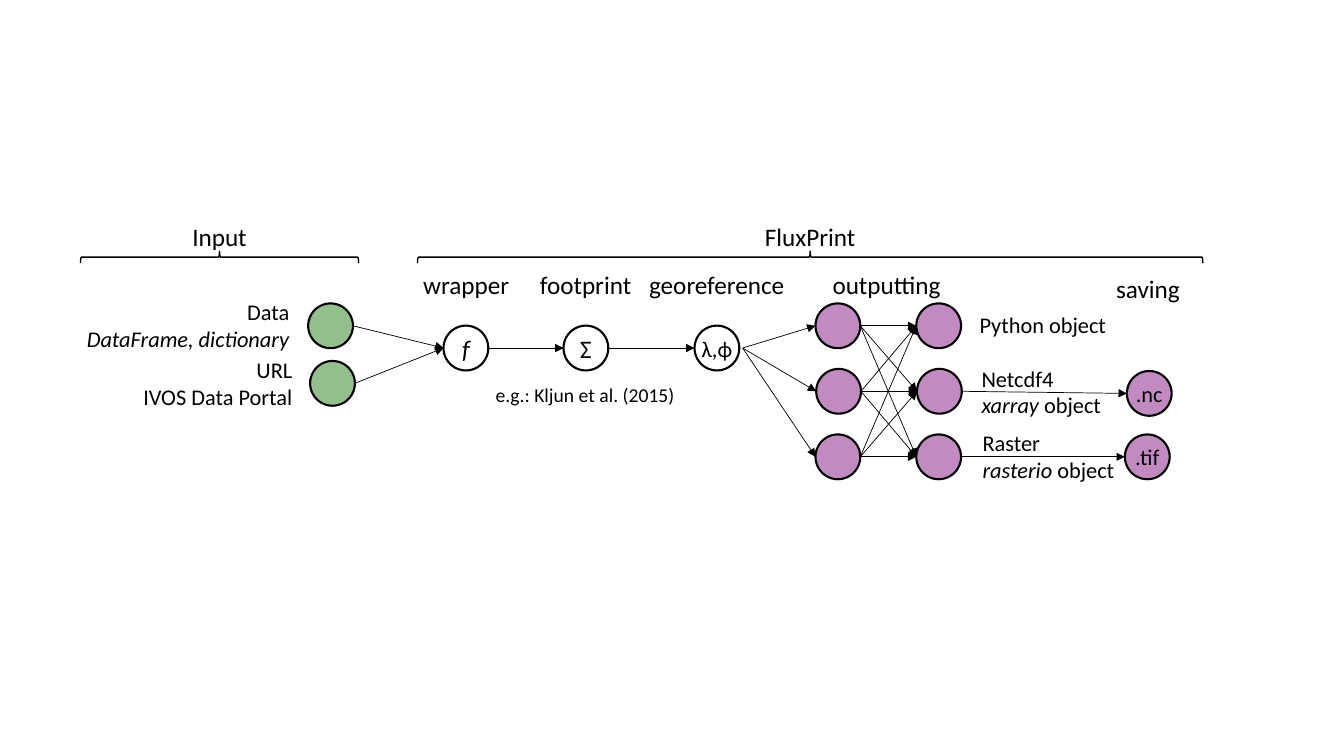
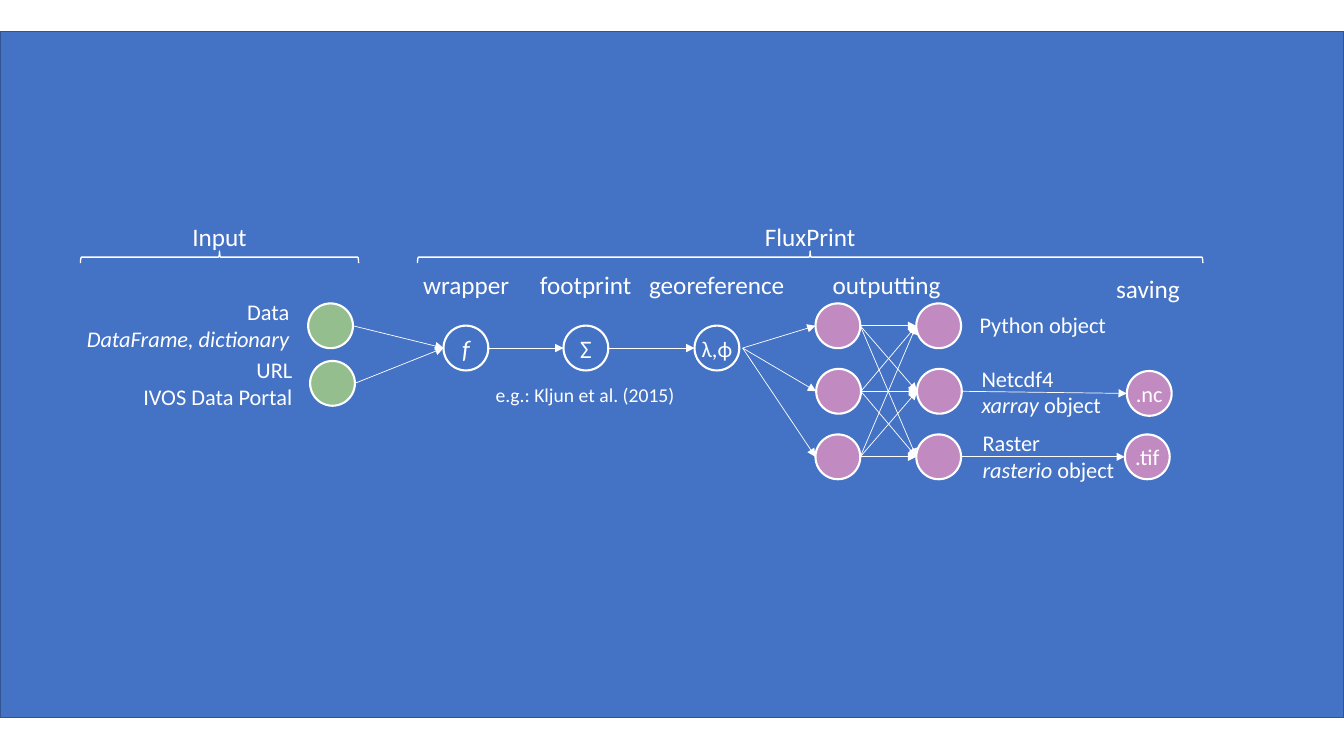
import itertools

import lxml.etree
import pptx
import pptx.util
import pptx.dml.color
import pptx.enum.shapes
import pptx.enum.text
import pptx.oxml.ns

Pt = pptx.util.Pt
SHAPE = pptx.enum.shapes.MSO_SHAPE
ALIGN = pptx.enum.text.PP_ALIGN
qn = pptx.oxml.ns.qn

COLORS = {
    "black": "000000",
    "white": "FFFFFF",
    "blue": "4472C4",
    "navy": "325491",
    "green": "94BE8E",
    "purple": "C18BC2",
}
FONT = "Calibri"
DOT = 32


def color(name):
    return pptx.dml.color.RGBColor.from_string(COLORS[name])


def write(frame, text, ink="black", size=16, align=ALIGN.LEFT):
    for row, line in enumerate(text.split("\n")):
        para = frame.paragraphs[0] if row == 0 else frame.add_paragraph()
        para.alignment = align
        for part, words in enumerate(line.split("*")):
            if words:
                run = para.add_run()
                run.text = words
                run.font.name = FONT
                run.font.size = Pt(size)
                run.font.italic = part % 2 == 1
                run.font.color.rgb = color(ink)


def label(slide, text, x, y, w, size=16, **style):
    high = size * 1.2 * (text.count("\n") + 1) + 7.2
    box = slide.shapes.add_textbox(Pt(x), Pt(y), Pt(w), Pt(high))
    frame = box.text_frame
    frame.word_wrap = False
    frame.auto_size = pptx.enum.text.MSO_AUTO_SIZE.SHAPE_TO_FIT_TEXT
    write(frame, text, size=size, **style)


def shape(slide, kind, x, y, w, h, line, width, fill=None):
    item = slide.shapes.add_shape(kind, Pt(x), Pt(y), Pt(w), Pt(h))
    item.shadow.inherit = False
    if fill:
        item.fill.solid()
        item.fill.fore_color.rgb = color(fill)
    else:
        item.fill.background()
    item.line.color.rgb = color(line)
    item.line.width = Pt(width)
    return item


def node(slide, x, y, ink, fill=None, text="", size=16):
    dot = shape(slide, SHAPE.OVAL, x, y, DOT, DOT, ink, 1.5, fill)
    if text:
        frame = dot.text_frame
        frame.margin_left = frame.margin_right = 0
        frame.margin_top = frame.margin_bottom = 0
        frame.word_wrap = False
        frame.vertical_anchor = pptx.enum.text.MSO_ANCHOR.MIDDLE
        write(frame, text, ink=ink, size=size, align=ALIGN.CENTER)
    return dot


def link(slide, start, end, ink, gap=0):
    wire = slide.shapes.add_connector(
        pptx.enum.shapes.MSO_CONNECTOR.STRAIGHT,
        start.left + start.width + Pt(gap),
        start.top + start.height // 2,
        end.left,
        end.top + end.height // 2,
    )
    wire.line.color.rgb = color(ink)
    wire.line.width = Pt(0.5)
    props = wire.element.spPr
    lxml.etree.SubElement(props.find(qn("a:ln")), qn("a:tailEnd"), type="triangle")
    lxml.etree.SubElement(props, qn("a:effectLst"))


def header(slide, box, ink, title):
    x, y, w, h = box
    label(slide, title, x, y, w, size=18, ink=ink, align=ALIGN.CENTER)
    deep = 8.6
    brace = shape(slide, SHAPE.RIGHT_BRACE, x + (w - deep) / 2,
                  y + h - (w + deep) / 2, deep, w, ink, 1)
    brace.rotation = 270


def source(slide, box, ink):
    x, y, w, h = box
    label(slide, "Data\n*DataFrame, dictionary*", x, y, 161.3,
          ink=ink, align=ALIGN.RIGHT)
    label(slide, "URL\nIVOS Data Portal", x + 41.7, y + 41.1, 121.7,
          ink=ink, align=ALIGN.RIGHT)
    return [node(slide, x + w - DOT - back, y + down, ink, "green")
            for back, down in ((1.4, 7.2), (0, 48.3))]


def process(slide, box, ink):
    x, y, w, h = box
    steps = (
        ("wrapper", "*f*", 18, 22.3, 0, 77),
        ("footprint", "Σ", 18, 108, 83.5, 80.6),
        ("georeference", "λ,ϕ", 16, 201.6, 161.3, 112.3),
    )
    dots = []
    for title, sign, size, dx, tx, tw in steps:
        label(slide, title, x + tx, y, tw, size=18, ink=ink, align=ALIGN.CENTER)
        dots.append(node(slide, x + dx, y + 44, ink, text=sign, size=size))
    for start, end in itertools.pairwise(dots):
        link(slide, start, end, ink)
    label(slide, "e.g.: Kljun et al. (2015)", x + 51.8, y + 81.4, 143.3,
          size=14, ink=ink, align=ALIGN.CENTER)
    return dots


def output(slide, box, ink):
    x, y, w, h = box
    label(slide, "outputting", x + 4.3, y, 92.9, size=18, ink=ink,
          align=ALIGN.CENTER)
    step = 46.8
    left, right = [
        [node(slide, x + dx + shift, y + 28.1 + row * step, ink, "purple")
         for row, shift in enumerate((0, 0.5, 0))]
        for dx in (0, 72)
    ]
    for start, end in itertools.product(left, right):
        link(slide, start, end, ink)
    notes = (
        ("Python object", 110.1, 30.3, 106.6),
        ("Netcdf4\n*xarray* object", 111.6, 68.4, 100.8),
        ("Raster\n*rasterio* object", 112.3, 114.5, 110.2),
    )
    for text, dx, dy, tw in notes:
        label(slide, text, x + dx, y + dy, tw, ink=ink)
    return left, right


def saving(slide, box, ink):
    x, y, w, h = box
    label(slide, "saving", x, y, w, size=18, ink=ink, align=ALIGN.CENTER)
    return [node(slide, x + dx, y + dy, ink, "purple", text)
            for text, dx, dy in ((".nc", 15.1, 73.5), (".tif", 13.7, 118.8))]


def diagram(slide, box, ink):
    x, y, w, h = box
    header(slide, (x + 5, y, 198.7, 33.5), ink, "Input")
    header(slide, (x + 245.7, y, 561, 33.5), ink, "FluxPrint")
    inputs = source(slide, (x, y + 55.1, 201, 87), ink)
    steps = process(slide, (x + 242, y + 34.2, 274, 106), ink)
    left, right = output(slide, (x + 530, y + 34.2, 222, 160), ink)
    files = saving(slide, (x + 737.3, y + 37.1, 60.5, 151), ink)
    for dot in inputs:
        link(slide, dot, steps[0], ink)
    for dot in left:
        link(slide, steps[-1], dot, ink, gap=2.4)
    for start, end in zip(right[1:], files):
        link(slide, start, end, ink)


def main():
    deck = pptx.Presentation()
    deck.slide_width = Pt(960)
    deck.slide_height = Pt(540)
    for ink, back in (("black", None), ("white", "blue")):
        slide = deck.slides.add_slide(deck.slide_layouts[6])
        if back:
            shape(slide, SHAPE.RECTANGLE, 0, 22.3, 960, 490.3, "navy", 1, back)
        diagram(slide, (52.5, 154.4, 807, 196), ink)
    deck.save("out.pptx")


if __name__ == "__main__":
    main()
